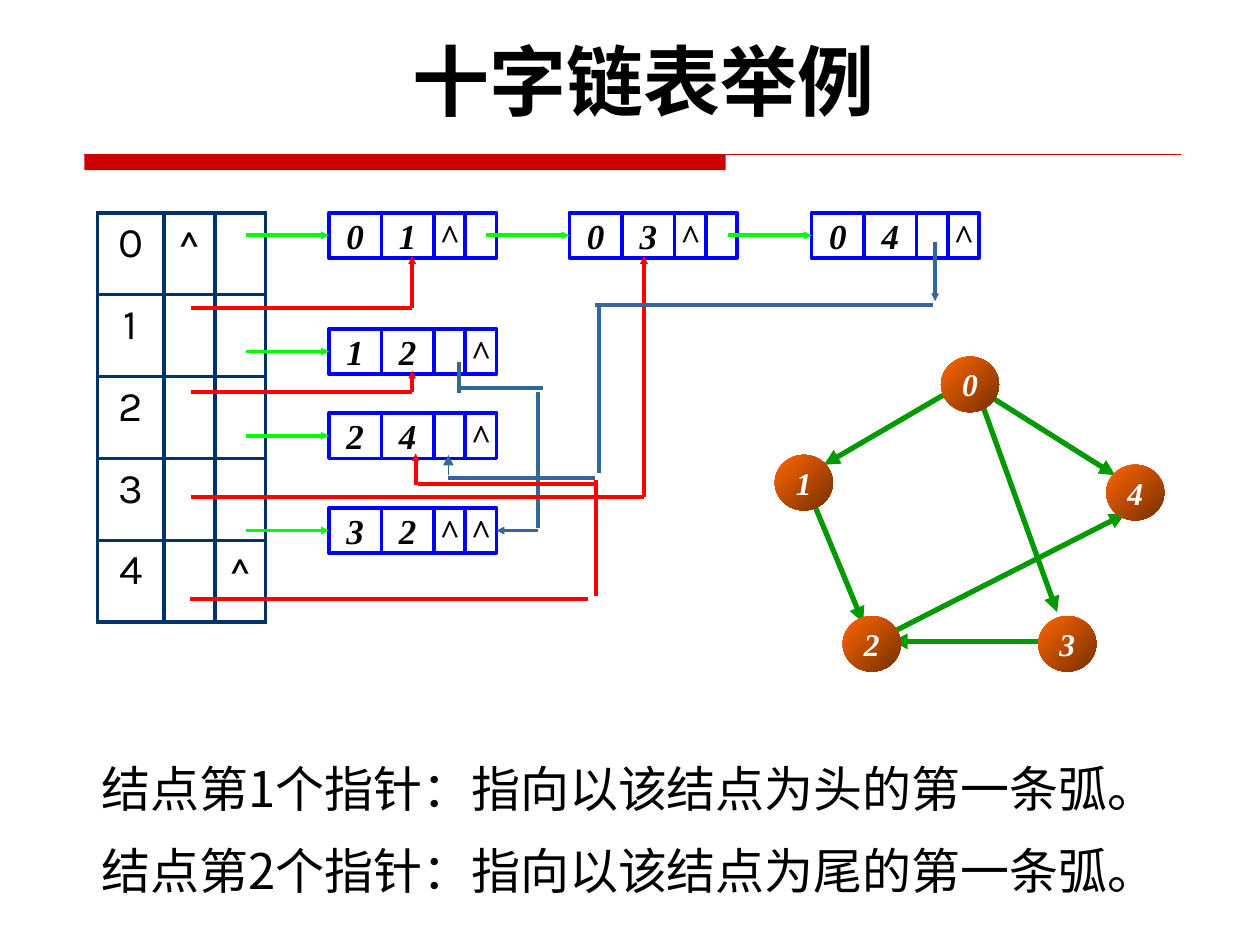
from pptx import Presentation
from pptx.dml.color import RGBColor
from pptx.enum import shapes, text
from pptx.oxml import ns
from pptx.util import Cm, Pt
from lxml import etree

BLACK = RGBColor(0, 0, 0)
WHITE = RGBColor(255, 255, 255)
NAVY = RGBColor(0, 0x33, 0x66)
BLUE = RGBColor(0, 0, 255)
STEEL = RGBColor(0x33, 0x66, 0x99)
RED = RGBColor(255, 0, 0)
BAR = RGBColor(0xCC, 0, 0)
LIME = RGBColor(0, 255, 0)
GREEN = RGBColor(0, 0x99, 0)
FLAME = RGBColor(255, 0x66, 0)
BROWN = RGBColor(0x76, 0x2F, 0)
SERIF, SANS, CJK = "Times New Roman", "Karla", "Noto Sans CJK SC"

TITLE = "十字链表举例"
NOTES = [
    (15.16, "结点第1个指针：指向以该结点为头的第一条弧。"),
    (16.81, "结点第2个指针：指向以该结点为尾的第一条弧。"),
]
HEADS = [("0", "^", ""), ("1", "", ""), ("2", "", ""), ("3", "", ""), ("4", "", "^")]
COLS, ROW = (1.35, 1.02, 1.02), 1.65
ARCS = [
    (6.63, 4.29, "01^ "), (11.48, 4.29, "03^ "), (16.36, 4.29, "04 ^"),
    (6.63, 6.63, "12 ^"), (6.63, 8.33, "24 ^"), (6.63, 10.24, "32^^"),
]
PARTS, TALL, LEAD = (1.06, 1.06, 0.63, 0.63), 0.91, 1.68
VERTS = {"1": (15.62, 9.17), "3": (20.93, 12.42), "2": (16.99, 12.42),
         "4": (22.3, 9.37), "0": (18.97, 7.19)}
EDGES = [
    (19.94, 7.98, 22.48, 9.58), (16.41, 10.16, 17.4, 12.55),
    (19.35, 7.77, 16.61, 9.37), (19.74, 7.98, 21.31, 12.34),
    (20.93, 12.93, 17.98, 12.93), (17.98, 12.75, 22.68, 10.36),
]
# color, has arrowhead, corner points
LINKS = [
    (RED, True, [(3.86, 6.2), (8.31, 6.2), (8.31, 5.16)]),
    (RED, True, [(3.86, 7.9), (8.31, 7.9), (8.31, 7.47)]),
    (STEEL, False, [(9.25, 7.82), (10.95, 7.82)]),
    (STEEL, False, [(10.85, 7.9), (10.85, 10.64)]),
    (RED, True, [(3.86, 10.01), (12.98, 10.01), (12.98, 5.16)]),
    (RED, False, [(3.84, 12.07), (11.86, 12.07)]),
    (RED, False, [(12.01, 12.01), (12.01, 9.68)]),
    (RED, False, [(8.43, 9.75), (12.01, 9.75)]),
    (RED, True, [(8.38, 9.78), (8.38, 9.14)]),
    (STEEL, False, [(9.04, 9.63), (11.99, 9.63)]),
    (STEEL, False, [(12.07, 6.15), (12.07, 9.53)]),
    (STEEL, False, [(11.99, 6.15), (18.8, 6.15)]),
    (STEEL, True, [(18.85, 4.88), (18.85, 6.07)]),
    (STEEL, False, [(9.25, 7.29), (9.25, 7.92)]),
]

deck = Presentation()
deck.slide_width, deck.slide_height = Cm(25.4), Cm(19.05)
slide = deck.slides.add_slide(deck.slide_layouts[6])
pool = slide.shapes


def write(frame, words, size, face, color, bold=False, slant=False, mid=True):
    par = frame.paragraphs[0]
    par.text = words
    if mid:
        par.alignment = text.PP_ALIGN.CENTER
    font = par.font
    font.size, font.name, font.bold, font.italic = Pt(size), face, bold, slant
    font.color.rgb = color
    base = par._p.pPr.find(ns.qn("a:defRPr"))
    etree.SubElement(base, ns.qn("a:ea"), typeface=CJK)


def line(x1, y1, x2, y2, color, width=2.25, head=None):
    link = pool.add_connector(shapes.MSO_CONNECTOR.STRAIGHT, Cm(x1), Cm(y1), Cm(x2), Cm(y2))
    link.line.color.rgb, link.line.width = color, Pt(width)
    if head:
        etree.SubElement(link.line._get_or_add_ln(), ns.qn("a:tailEnd"),
                         type="triangle", w=head, len=head)
    etree.SubElement(link._element.spPr, ns.qn("a:effectLst"))
    return link


def shape(kind, x, y, w, h):
    item = pool.add_shape(kind, Cm(x), Cm(y), Cm(w), Cm(h))
    item.shadow.inherit = False
    frame = item.text_frame
    frame.margin_left = frame.margin_right = frame.margin_top = frame.margin_bottom = 0
    frame.vertical_anchor = text.MSO_ANCHOR.MIDDLE
    return item


def label(x, y, w, h, words, size, face, **look):
    frame = pool.add_textbox(Cm(x), Cm(y), Cm(w), Cm(h)).text_frame
    frame.word_wrap = True
    write(frame, words, size, face, BLACK, **look)


def edge(cell):
    props = cell._tc.get_or_add_tcPr()
    for side in ("lnL", "lnR", "lnT", "lnB"):
        rim = etree.SubElement(props, ns.qn("a:" + side), w=str(Pt(2.25)))
        fill = etree.SubElement(rim, ns.qn("a:solidFill"))
        etree.SubElement(fill, ns.qn("a:srgbClr"), val=str(NAVY))


bar = shape(shapes.MSO_SHAPE.RECTANGLE, 1.7, 3.12, 12.93, 0.31)
bar.fill.solid()
bar.fill.fore_color.rgb = BAR
bar.line.fill.background()
line(1.7, 3.12, 23.8, 3.12, BAR, 0.75)

grid = pool.add_table(len(HEADS), len(COLS), Cm(1.96), Cm(4.29),
                      Cm(sum(COLS)), Cm(ROW * len(HEADS))).table
grid.first_row = grid.horz_banding = False
for col, wide in zip(grid.columns, COLS):
    col.width = Cm(wide)
for r, row in enumerate(HEADS):
    grid.rows[r].height = Cm(ROW)
    for c, words in enumerate(row):
        cell = grid.cell(r, c)
        edge(cell)
        cell.fill.background()
        if words:
            write(cell.text_frame, words, 24, SANS, BLACK)

for ends in EDGES:
    line(*ends, GREEN, 3, "med")
for name, (x, y) in VERTS.items():
    ball = shape(shapes.MSO_SHAPE.OVAL, x, y, 1.17, 1.12)
    ball.fill.gradient()
    ball.fill.gradient_angle = 315
    for stop, color in zip(ball.fill.gradient_stops, (FLAME, BROWN)):
        stop.color.rgb = color
    ball.line.fill.background()
    ball.text_frame.word_wrap = False
    write(ball.text_frame, name, 18, SERIF, WHITE, True, True)

nodes = []
for x, y, marks in ARCS:
    boxes = []
    for i, (mark, wide) in enumerate(zip(marks, PARTS)):
        box = shape(shapes.MSO_SHAPE.RECTANGLE, x + sum(PARTS[:i]), y, wide, TALL)
        box.fill.background()
        box.line.color.rgb, box.line.width = BLUE, Pt(2)
        if mark != " ":
            write(box.text_frame, mark, 20, SERIF, BLACK, True, True)
        boxes.append(box)
    nodes.append(boxes)

for (x, y, marks), boxes in zip(ARCS, nodes):
    half = y + TALL / 2
    line(x - LEAD, half, x, half, LIME, head="sm").end_connect(boxes[0], 1)
for color, tip, spots in LINKS:
    for i, (start, stop) in enumerate(zip(spots, spots[1:]), 2):
        line(*start, *stop, color, head="sm" if tip and i == len(spots) else None)
line(9.04, 9.58, 9.04, 9.17, STEEL, 0.75, "med")
half = ARCS[-1][1] + TALL / 2
line(10.85, half, 10.01, half, STEEL, head="sm").end_connect(nodes[-1][-1], 3)

label(1.22, 0.56, 23.5, 2.13, TITLE, 44, SANS, bold=True)
for y, words in NOTES:
    label(1.8, y, 24.1, 1.45, words, 28, CJK, mid=False)

deck.save("out.pptx")
